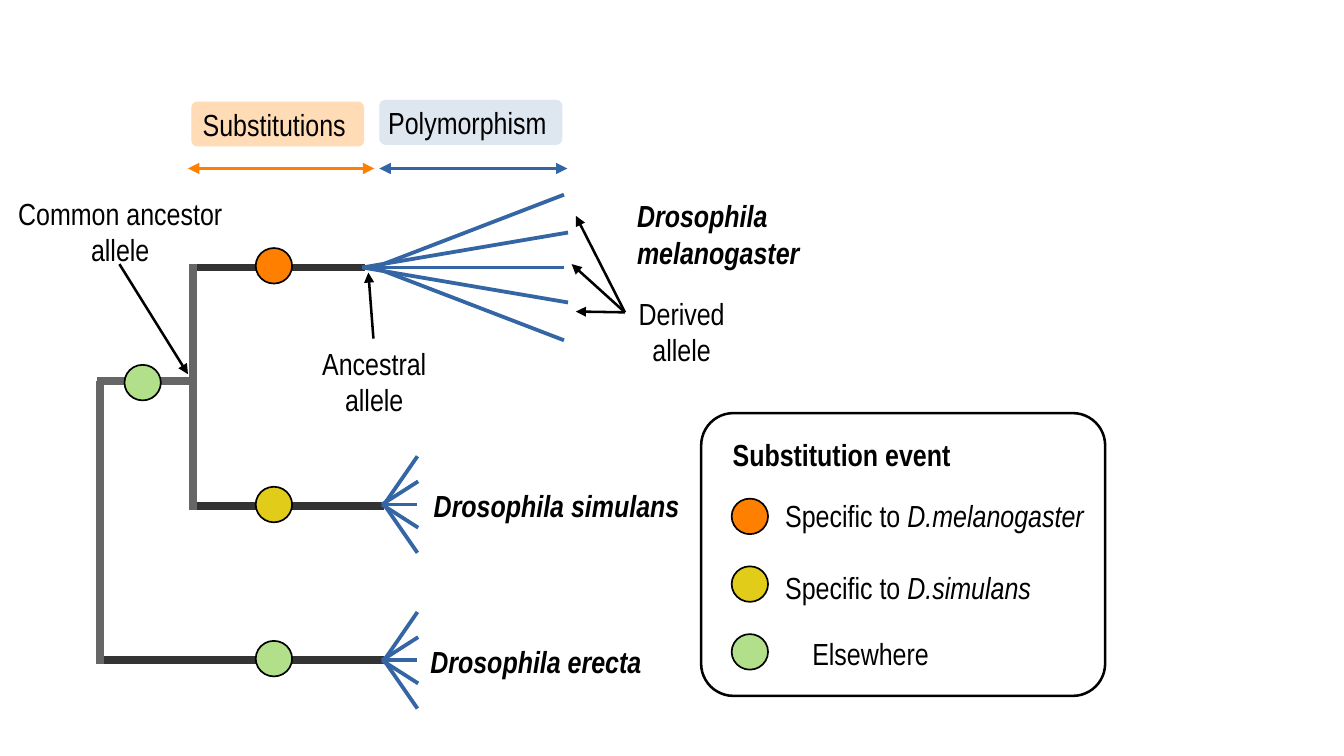
from collections import namedtuple
from dataclasses import dataclass

from lxml.etree import SubElement
from pptx import Presentation
from pptx.dml.color import RGBColor as Color
from pptx.enum.shapes import MSO_CONNECTOR as Connector, MSO_SHAPE as Shape
from pptx.enum.text import MSO_ANCHOR as Anchor, PP_ALIGN as Align
from pptx.oxml.ns import qn
from pptx.util import Pt

Box = namedtuple("Box", "left top width height")
Span = namedtuple("Span", "text bold italic", defaults=(False, False))


@dataclass(frozen=True)
class Theme:
    font: str = "Arial Narrow"
    size: float = 18
    ink: str = "000000"
    trunk: str = "666666"
    branch: str = "333333"
    blue: str = "3465A4"
    orange: str = "FF7F00"
    yellow: str = "E2CC1A"
    green: str = "B2DF8A"
    pale_blue: str = "DEE6EF"
    pale_orange: str = "FFDBB6"
    heavy: float = 4.5
    medium: float = 2.25
    thin: float = 1.5
    outline: float = 1


THEME = Theme()


def add_line(page, start, end, color, width, arrows=()):
    line = page.shapes.add_connector(Connector.STRAIGHT, *map(Pt, start + end))
    line.line.color.rgb = Color.from_string(color)
    line.line.width = Pt(width)
    for arrow in arrows:
        SubElement(line.line._get_or_add_ln(), qn(f"a:{arrow}"), type="triangle")
    SubElement(line._element.spPr, qn("a:effectLst"))


def add_figure(page, kind, box, fill=None, width=None, corner=None):
    figure = page.shapes.add_shape(kind, *map(Pt, box))
    figure.shadow.inherit = False
    if corner is not None:
        figure.adjustments[0] = corner
    if fill:
        figure.fill.solid()
        figure.fill.fore_color.rgb = Color.from_string(fill)
    else:
        figure.fill.background()
    if width:
        figure.line.color.rgb = Color.from_string(THEME.ink)
        figure.line.width = Pt(width)
    else:
        figure.line.fill.background()
    return figure


def add_dot(page, left, top, fill):
    add_figure(page, Shape.OVAL, Box(left, top, 21.5, 21), fill, THEME.outline)


def write(frame, paras, align):
    frame.word_wrap = True
    for index, spans in enumerate(paras):
        para = frame.add_paragraph() if index else frame.paragraphs[0]
        para.alignment = align
        for span in spans:
            run = para.add_run()
            run.text = span.text
            run.font.name = THEME.font
            run.font.size = Pt(THEME.size)
            run.font.color.rgb = Color.from_string(THEME.ink)
            run.font.bold = span.bold
            run.font.italic = span.italic


def add_label(page, box, *paras, align=Align.LEFT):
    write(page.shapes.add_textbox(*map(Pt, box)).text_frame, paras, align)


def add_fan(page, left, middle, length, half):
    tip = left + length
    for step in (-1, 0, 1):
        start = left + 0.06 * length * abs(step)
        add_line(page, (start, middle), (tip, middle + step * half), THEME.blue, THEME.medium)
    for step in (-0.48, 0.48):
        end = (tip + 0.02 * length, middle + step * half)
        add_line(page, (left, middle), end, THEME.blue, THEME.medium)


def draw_band(page, box, pill_offset, pill_width, label, fill, color):
    pill_box = Box(box.left + pill_offset, box.top, pill_width, 26.5)
    pill = add_figure(page, Shape.ROUNDED_RECTANGLE, pill_box, fill, corner=0.13)
    frame = pill.text_frame
    frame.vertical_anchor = Anchor.MIDDLE
    frame.margin_left, frame.margin_right = Pt(3), Pt(7)
    write(frame, [[Span(label)]], Align.CENTER)
    bottom = box.top + box.height
    add_line(page, (box.left, bottom), (box.left + box.width, bottom),
             color, THEME.medium, ("headEnd", "tailEnd"))


def draw_tree(page, box):
    left, top = box.left, box.top
    right, bottom = left + box.width, top + box.height
    root_y, simulans_y = top + 67, top + 141
    root_x, fork_x = left + 2, left + 57
    fan_x, dot_x = right - 21, left + 94
    limbs = (
        (fork_x - 2, fan_x - 10, top, THEME.orange),
        (fork_x, fan_x + 1, simulans_y, THEME.yellow),
        (root_x, fan_x + 1, bottom, THEME.green),
    )
    for start, end, y, color in limbs:
        add_line(page, (start, y), (end, y), THEME.branch, THEME.heavy)
        add_dot(page, dot_x, y - 11.5, color)
    add_line(page, (left, root_y), (fork_x, root_y), THEME.trunk, THEME.heavy)
    add_dot(page, left + 16.5, root_y - 9.5, THEME.green)
    add_fan(page, fan_x - 11.5, top, 119, 43)
    for y in (simulans_y - 1, bottom):
        add_fan(page, fan_x, y, 21, 28.5)
    for x, start, end in ((root_x, root_y, bottom + 2), (fork_x, top - 2, simulans_y + 2)):
        add_line(page, (x, start), (x, end), THEME.trunk, THEME.heavy)


def draw_species(page, box):
    names = (
        ("Drosophila melanogaster", 122, 0, 184),
        ("Drosophila simulans", 2, 171, 193),
        ("Drosophila erecta", 0, 263.5, 154),
    )
    for name, x, y, width in names:
        add_label(page, Box(box.left + x, box.top + y, width, 42), [Span(name, True, True)])


def draw_alleles(page, box):
    labels = (
        ("Common ancestor", 0, 0, 142),
        ("Ancestral", 170, 88.5, 102),
        ("Derived", 351.5, 59, 102),
    )
    for first, x, y, width in labels:
        add_label(page, Box(box.left + x, box.top + y, width, 56),
                  [Span(first)], [Span("allele")], align=Align.CENTER)
    derived = (369, 73)
    pointers = (
        ((70.5, 44.5), (111, 109.5)),
        ((220.5, 88.5), (217.5, 49.5)),
        (derived, (340, 16)),
        (derived, (337.5, 44.5)),
        (derived, (340, 72.5)),
    )
    for start, end in pointers:
        start, end = ((box.left + x, box.top + y) for x, y in (start, end))
        add_line(page, start, end, THEME.ink, THEME.thin, ("tailEnd",))


def draw_legend(page, box):
    add_figure(page, Shape.ROUNDED_RECTANGLE, box, width=THEME.thin, corner=0.114)
    add_label(page, Box(box.left + 11.5, box.top + 10, 153, 32),
              [Span("Substitution event", True)])
    specific = Span("Specific to ")
    rows = (
        (THEME.orange, 42.5, 46, [specific, Span("D.melanogaster", italic=True)]),
        (THEME.yellow, 42.5, 88.5, [specific, Span("D.simulans", italic=True)]),
        (THEME.green, 58.5, 127.5, [Span("Elsewhere")]),
    )
    for index, (color, x, y, spans) in enumerate(rows):
        add_dot(page, box.left + 18, box.top + 50.5 + 40 * index, color)
        add_label(page, Box(box.left + x, box.top + y, box.width - x, 32), spans)


def main():
    deck = Presentation()
    deck.slide_width, deck.slide_height = Pt(793.5), Pt(446.5)
    page = deck.slides.add_slide(deck.slide_layouts[6])
    draw_tree(page, Box(57, 158, 189.5, 232))
    draw_band(page, Box(111, 60, 110, 39.5), 2, 102,
              "Substitutions", THEME.pale_orange, THEME.orange)
    draw_band(page, Box(224, 59, 111, 40.5), 0, 108,
              "Polymorphism", THEME.pale_blue, THEME.blue)
    draw_species(page, Box(247, 113, 306, 306))
    draw_alleles(page, Box(0, 111.5, 454, 145))
    draw_legend(page, Box(414, 244, 238.5, 167))
    deck.save("out.pptx")


if __name__ == "__main__":
    main()
